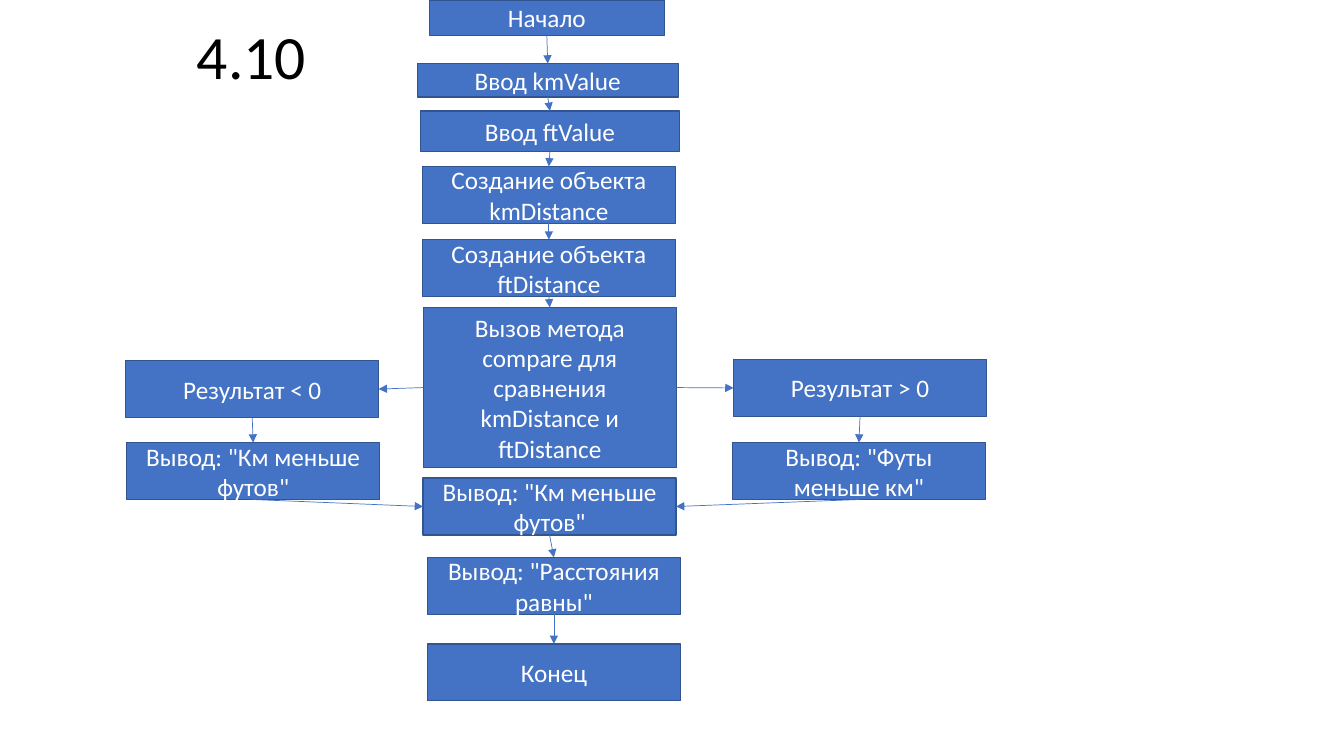
from lxml.etree import SubElement
from pptx import Presentation
from pptx.dml.color import RGBColor
from pptx.enum.shapes import MSO_CONNECTOR as Connector, MSO_SHAPE as Shape
from pptx.enum.text import MSO_ANCHOR as Anchor, MSO_AUTO_SIZE as AutoSize, PP_ALIGN as Align
from pptx.oxml.ns import qn
from pptx.util import Pt

BLUE = RGBColor(0x44, 0x72, 0xC4)
DARK_BLUE = RGBColor(0x32, 0x54, 0x91)
WHITE = RGBColor(0xFF, 0xFF, 0xFF)
BLACK = RGBColor(0, 0, 0)
FONT = "Calibri"
STEP = (180.7, 40.6)  # usual width and height of a step
TOP, LEFT, BOTTOM, RIGHT = range(4)

TITLE = "4.10"
# name: (text, left, top, (width, height))
STEPS = {
    "start": ("Начало", 306.7, 0, (167.8, 25.4)),
    "read km": ("Ввод kmValue", 298, 45.4, (186.5, 23.8)),
    "read ft": ("Ввод ftValue", 300.2, 79.2, (185.2, 28.9)),
    "make km": ("Создание объекта kmDistance", 301.7, 118.9, STEP),
    "make ft": ("Создание объекта ftDistance", 301.7, 171.2, STEP),
    "compare": ("Вызов метода compare для сравнения kmDistance и ftDistance",
                302.4, 219.6, (180.7, 114.5)),
    "less": ("Результат < 0", 89.8, 257.6, STEP),
    "greater": ("Результат > 0", 524, 256.8, STEP),
    "print less": ('Вывод: "Км меньше футов"', 90.5, 316.2, STEP),
    "print greater": ('Вывод: "Футы меньше км"', 523.2, 316.2, STEP),
    "print result": ('Вывод: "Км меньше футов"', 302.2, 341.5, STEP),
    "print equal": ('Вывод: "Расстояния равны"', 305.3, 398.2, STEP),
    "end": ("Конец", 305.3, 460, STEP),
}
DOWNWARD = [
    ("start", "read km", "read ft", "make km", "make ft", "compare"),
    ("less", "print less"),
    ("greater", "print greater"),
    ("print result", "print equal", "end"),
]
SIDEWAYS = [
    ("compare", LEFT, "less", RIGHT),
    ("compare", RIGHT, "greater", LEFT),
    ("print less", BOTTOM, "print result", LEFT),
    ("print greater", BOTTOM, "print result", RIGHT),
]


def write(frame, text, size, color):
    frame.word_wrap = True
    para = frame.paragraphs[0]
    para.alignment = Align.CENTER
    span = para.add_run()
    span.text = text
    span.font.name = FONT
    span.font.size = Pt(size)
    span.font.color.rgb = color
    return para


def add_title(page):
    title = page.shapes.title
    title.left, title.top, title.width, title.height = map(Pt, (13.7, 15.1, 331.9, 47.5))
    frame = title.text_frame
    frame.auto_size = AutoSize.NONE
    frame.vertical_anchor = Anchor.TOP
    para = write(frame, TITLE, 44, BLACK)
    para.line_spacing = 0.9
    para.space_before = Pt(10)


def add_step(page, text, left, top, size):
    box = page.shapes.add_shape(Shape.RECTANGLE, *map(Pt, (left, top, *size)))
    box.shadow.inherit = False
    box.fill.solid()
    box.fill.fore_color.rgb = BLUE
    box.line.color.rgb = DARK_BLUE
    box.line.width = Pt(1)
    box.text_frame.vertical_anchor = Anchor.MIDDLE
    write(box.text_frame, text, 18, WHITE)
    return box


def add_arrow(page, source, source_side, target, target_side):
    arrow = page.shapes.add_connector(Connector.STRAIGHT, 0, 0, 0, 0)
    arrow.begin_connect(source, source_side)
    arrow.end_connect(target, target_side)
    arrow.line.color.rgb = BLUE
    arrow.line.width = Pt(0.5)
    SubElement(arrow.line._get_or_add_ln(), qn("a:tailEnd"), type="triangle")
    SubElement(arrow._element.spPr, qn("a:effectLst"))


def main():
    deck = Presentation()
    deck.slide_width, deck.slide_height = Pt(960), Pt(540)
    page = deck.slides.add_slide(deck.slide_layouts[5])
    add_title(page)
    boxes = {name: add_step(page, *step) for name, step in STEPS.items()}
    links = [(above, BOTTOM, below, TOP)
             for chain in DOWNWARD for above, below in zip(chain, chain[1:])]
    for source, source_side, target, target_side in links + SIDEWAYS:
        add_arrow(page, boxes[source], source_side, boxes[target], target_side)
    deck.save("out.pptx")


if __name__ == "__main__":
    main()
